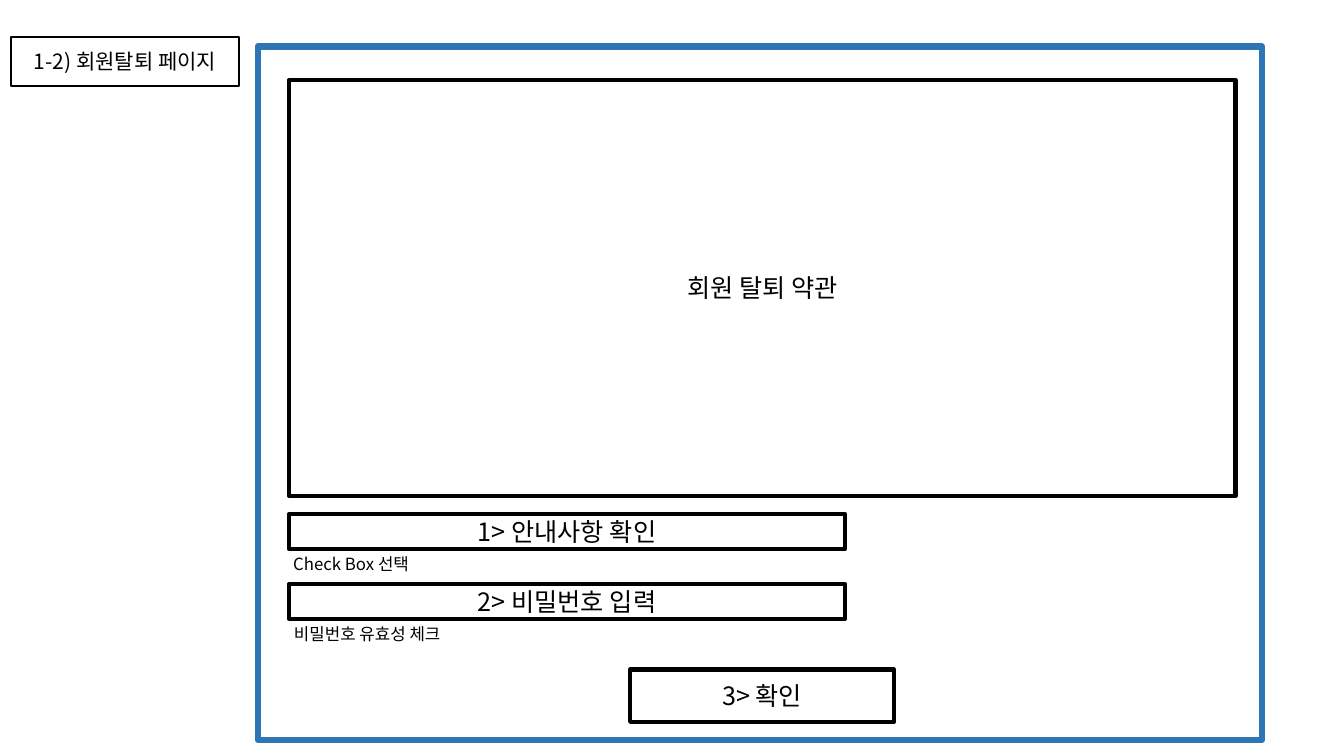
import lxml.etree
import pptx
import pptx.dml.color
import pptx.enum.shapes
import pptx.enum.text
import pptx.oxml.ns
import pptx.util

Cm = pptx.util.Cm
Pt = pptx.util.Pt
BLACK = pptx.dml.color.RGBColor(0x00, 0x00, 0x00)
WHITE = pptx.dml.color.RGBColor(0xFF, 0xFF, 0xFF)
BLUE = pptx.dml.color.RGBColor(0x2E, 0x75, 0xB6)


class Wireframe:
    font = "Noto Sans CJK KR"

    def __init__(self, slide):
        self.slide = slide

    def add_text(self, tf, text, size=18, align=pptx.enum.text.PP_ALIGN.CENTER):
        p = tf.paragraphs[0]
        p.alignment = align
        r = p.add_run()
        r.text = text
        r.font.size = Pt(size)
        r.font.name = self.font
        r.font.color.rgb = BLACK
        ea = lxml.etree.SubElement(r._r.get_or_add_rPr(), pptx.oxml.ns.qn("a:ea"))
        ea.set("typeface", self.font)

    def box(self, x, y, w, h, text="", color=BLACK, line=3, size=18):
        sp = self.slide.shapes.add_shape(
            pptx.enum.shapes.MSO_SHAPE.RECTANGLE, Cm(x), Cm(y), Cm(w), Cm(h))
        sp.shadow.inherit = False
        sp.fill.solid()
        sp.fill.fore_color.rgb = WHITE
        sp.line.color.rgb = color
        sp.line.width = Pt(line)
        if text:
            tf = sp.text_frame
            tf.vertical_anchor = pptx.enum.text.MSO_ANCHOR.MIDDLE
            self.add_text(tf, text, size=size)

    def caption(self, x, y, w, text):
        sp = self.slide.shapes.add_textbox(Cm(x), Cm(y), Cm(w), Cm(0.76))
        tf = sp.text_frame
        tf.word_wrap = True
        tf.auto_size = pptx.enum.text.MSO_AUTO_SIZE.SHAPE_TO_FIT_TEXT
        self.add_text(tf, text, size=12, align=pptx.enum.text.PP_ALIGN.LEFT)


def main():
    prs = pptx.Presentation()
    prs.slide_width = Cm(33.87)
    prs.slide_height = Cm(19.05)
    page = Wireframe(prs.slides.add_slide(prs.slide_layouts[6]))

    page.box(6.5, 1.17, 25.3, 17.48, color=BLUE, line=4.5)
    page.box(0.28, 0.94, 5.74, 1.22, "1-2) 회원탈퇴 페이지", line=1.5, size=15)
    page.box(7.29, 2.01, 23.85, 10.49, " 회원 탈퇴 약관 ")

    steps = [
        ("1> 안내사항 확인", "Check Box 선택", 7.14, 4.22),
        ("2> 비밀번호 입력", "비밀번호 유효성 체크", 7.16, 4.7),
    ]
    for i, (label, note, x, w) in enumerate(steps):
        y = 12.95 + 1.76 * i
        page.box(7.29, y, 14, 0.89, label)
        page.caption(x, y + 0.89, w, note)

    page.box(15.88, 16.87, 6.65, 1.32, "3> 확인")
    prs.save("out.pptx")


if __name__ == "__main__":
    main()
